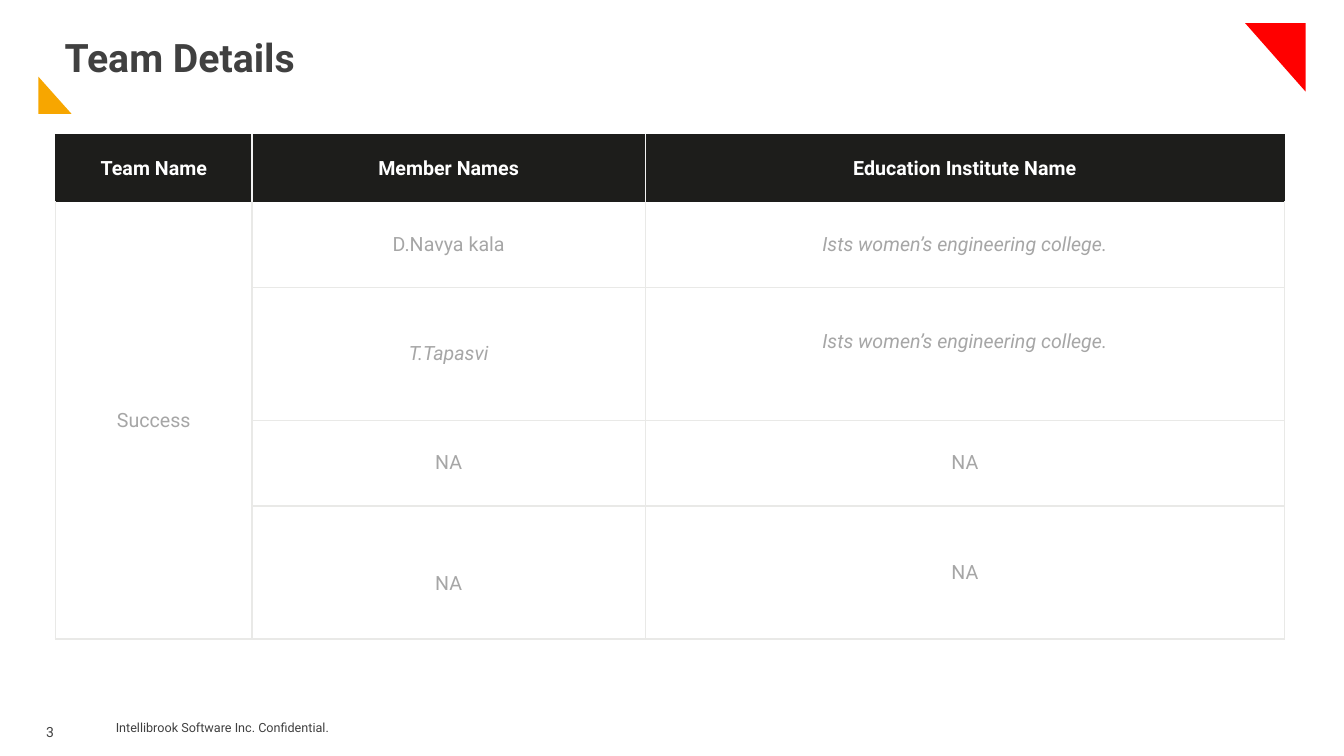
from lxml import etree
from pptx import Presentation
from pptx.dml.color import RGBColor
from pptx.enum.text import MSO_ANCHOR, PP_ALIGN
from pptx.oxml.ns import qn
from pptx.util import Inches, Pt

MID, TOP = MSO_ANCHOR.MIDDLE, MSO_ANCHOR.TOP
LEFT, CENTER = PP_ALIGN.LEFT, PP_ALIGN.CENTER

HEX = {"ink": "404040", "dark": "1D1D1B", "white": "FFFFFF", "gray": "A6A6A6",
       "rule": "E9E9E7", "split": "F2F2F2", "red": "FF0000", "gold": "F7A600"}
TITLE = "Team Details"
FOOT = "Intellibrook Software Inc. Confidential."
PAGE = "3"
HEAD = ["Team Name", "Member Names", "Education Institute Name"]
TEAM = "Success"
ROWS = [
    ["D.Navya kala", "Ists women’s engineering college."],
    ["T.Tapasvi", "Ists women’s engineering college."],
    ["NA", "NA"],
    ["NA", "NA"],
]
ITALIC = {(1, 2), (2, 1), (2, 2)}
SHIFT = {(2, 2): {"margin_bottom": 0.24}, (4, 1): {"margin_top": 0.22}}
COLS = [1.95, 3.9, 6.34]
TALL = [0.66, 0.85, 1.32, 0.85, 1.32]
SPOT = (0.55, 1.34)
WEDGES = [
    ("red", [(12.35, 0.23), (12.95, 0.23), (12.95, 0.91)]),
    ("gold", [(0.71, 1.13), (0.38, 1.13), (0.38, 0.76)]),
]


def color(name):
    return RGBColor.from_string(HEX[name])


def apply(item, form):
    for key, val in form.items():
        setattr(item, key, val)


def write(frame, text, size, tone, align=LEFT, **form):
    para = frame.paragraphs[0]
    para.alignment = align
    run = para.add_run()
    run.text = text
    apply(run.font, {"name": "Roboto", "size": Pt(size), **form})
    run.font.color.rgb = color(tone)
    return para


def inset(item, gap):
    for side in ("left", "right", "top", "bottom"):
        setattr(item, "margin_" + side, Inches(gap))


def edge(cell, tag, name):
    line = etree.SubElement(cell._tc.get_or_add_tcPr(), qn("a:" + tag), w=str(Pt(1)))
    fill = etree.SubElement(line, qn("a:solidFill"))
    etree.SubElement(fill, qn("a:srgbClr"), val=HEX[name])


def frame_cell(cell, row, col):
    if row == 0:
        tones = {"lnL": "split" if col else "dark",
                 "lnR": "split" if col < len(COLS) - 1 else "dark",
                 "lnT": "dark", "lnB": "dark"}
    else:
        tones = {"lnL": "rule", "lnR": "rule",
                 "lnT": "dark" if row == 1 else "rule", "lnB": "rule"}
    for tag, name in tones.items():
        edge(cell, tag, name)


def add_box(slide, text, place, size, gap, anchor, wrap):
    frame = slide.shapes.add_textbox(*map(Inches, place)).text_frame
    apply(frame, {"word_wrap": wrap, "vertical_anchor": anchor})
    if gap is not None:
        inset(frame, gap)
    return write(frame, text, size, "ink")


def add_wedge(slide, tone, pts):
    first, *rest = [(Inches(x), Inches(y)) for x, y in pts]
    pen = slide.shapes.build_freeform(*first)
    pen.add_line_segments(rest, close=True)
    shape = pen.convert_to_shape()
    shape.shadow.inherit = False
    shape.fill.solid()
    shape.fill.fore_color.rgb = color(tone)
    shape.line.fill.background()


def add_title(slide):
    title = slide.shapes.title
    place = zip(("left", "top", "width", "height"), (0.64, 0.38, 12.01, 0.42))
    apply(title, {key: Inches(val) for key, val in place})
    frame = title.text_frame
    apply(frame, {"word_wrap": True, "vertical_anchor": MID})
    inset(frame, 0)
    write(frame, TITLE, 28, "ink", bold=True).line_spacing = 0.9


def add_team(slide):
    size = (sum(COLS), sum(TALL))
    table = slide.shapes.add_table(len(TALL), len(COLS), *map(Inches, SPOT + size)).table
    table.horz_banding = False
    for col, wide in zip(table.columns, COLS):
        col.width = Inches(wide)
    for row, tall in zip(table.rows, TALL):
        row.height = Inches(tall)
    table.cell(1, 0).merge(table.cell(len(ROWS), 0))
    grid = [HEAD] + [[TEAM if n == 0 else ""] + row for n, row in enumerate(ROWS)]
    for r, row in enumerate(grid):
        for c, text in enumerate(row):
            cell = table.cell(r, c)
            inset(cell, 0)
            cell.vertical_anchor = MID
            apply(cell, {key: Inches(val) for key, val in SHIFT.get((r, c), {}).items()})
            frame_cell(cell, r, c)
            if r == 0:
                cell.fill.solid()
                cell.fill.fore_color.rgb = color("dark")
            else:
                cell.fill.background()
            if text:
                write(cell.text_frame, text, 14, "gray" if r else "white", CENTER,
                      bold=r == 0, italic=(r, c) in ITALIC)


def main():
    deck = Presentation()
    apply(deck, {"slide_width": Inches(13.33), "slide_height": Inches(7.5)})
    slide = deck.slides.add_slide(deck.slide_layouts[5])
    add_box(slide, FOOT, (1.05, 7.05, 2.73, 0.34), 9, 0.1, MID, True)
    page = add_box(slide, PAGE, (0.36, 7.06, 0.37, 0.31), 10, None, TOP, False)
    apply(page, {"line_spacing": Pt(17), "space_after": Pt(2)})
    for tone, pts in WEDGES:
        add_wedge(slide, tone, pts)
    add_title(slide)
    add_team(slide)
    deck.save("out.pptx")


if __name__ == "__main__":
    main()
